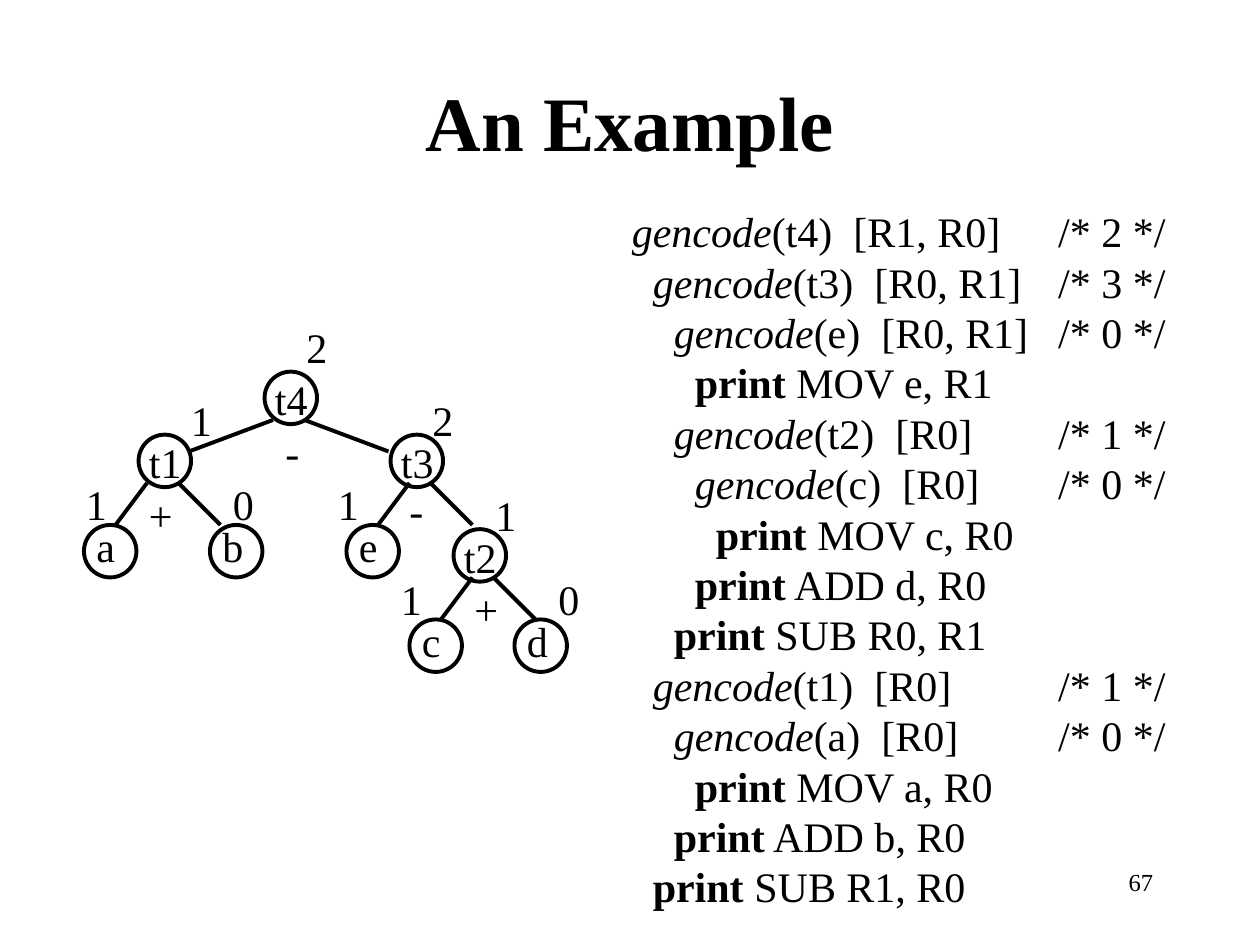
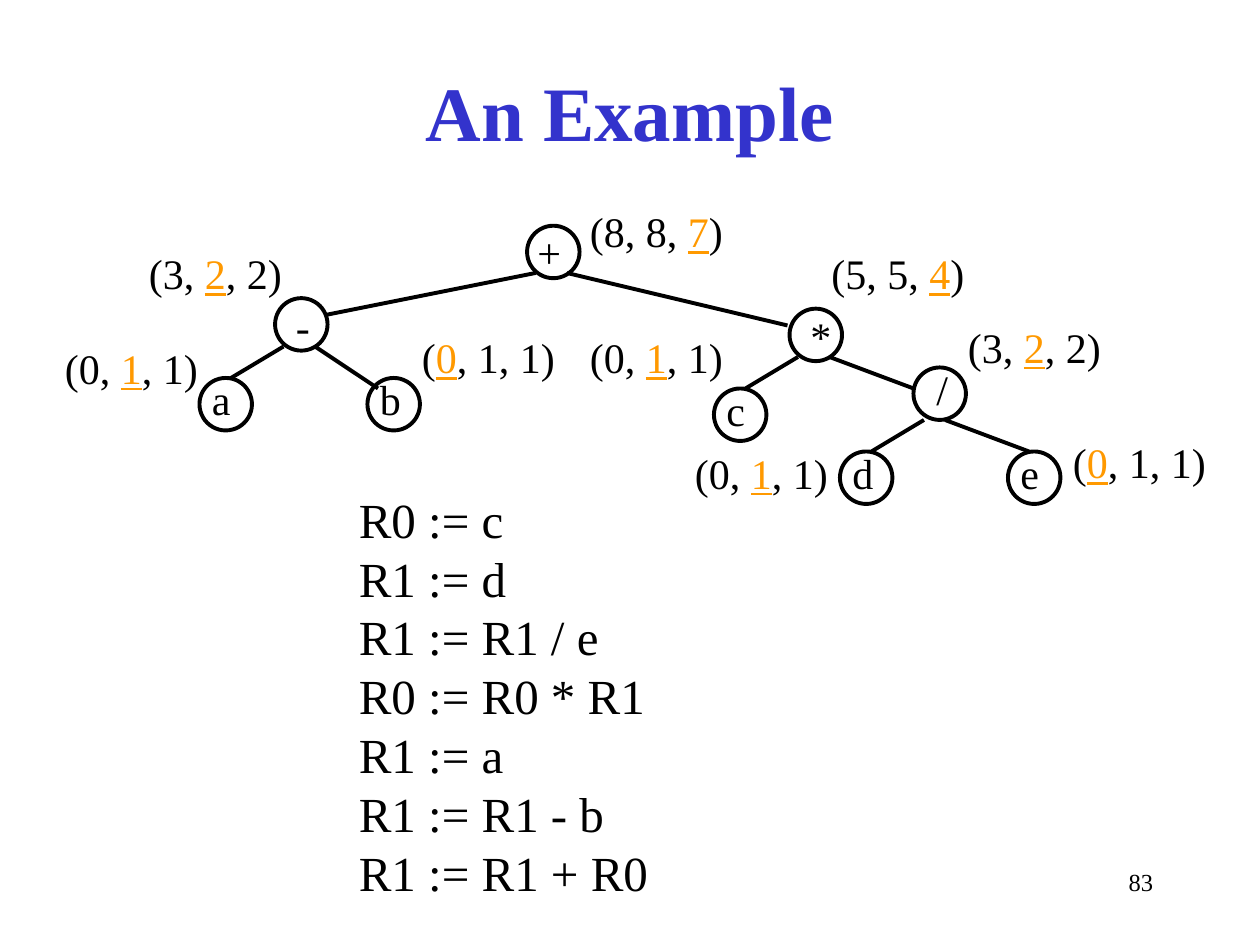
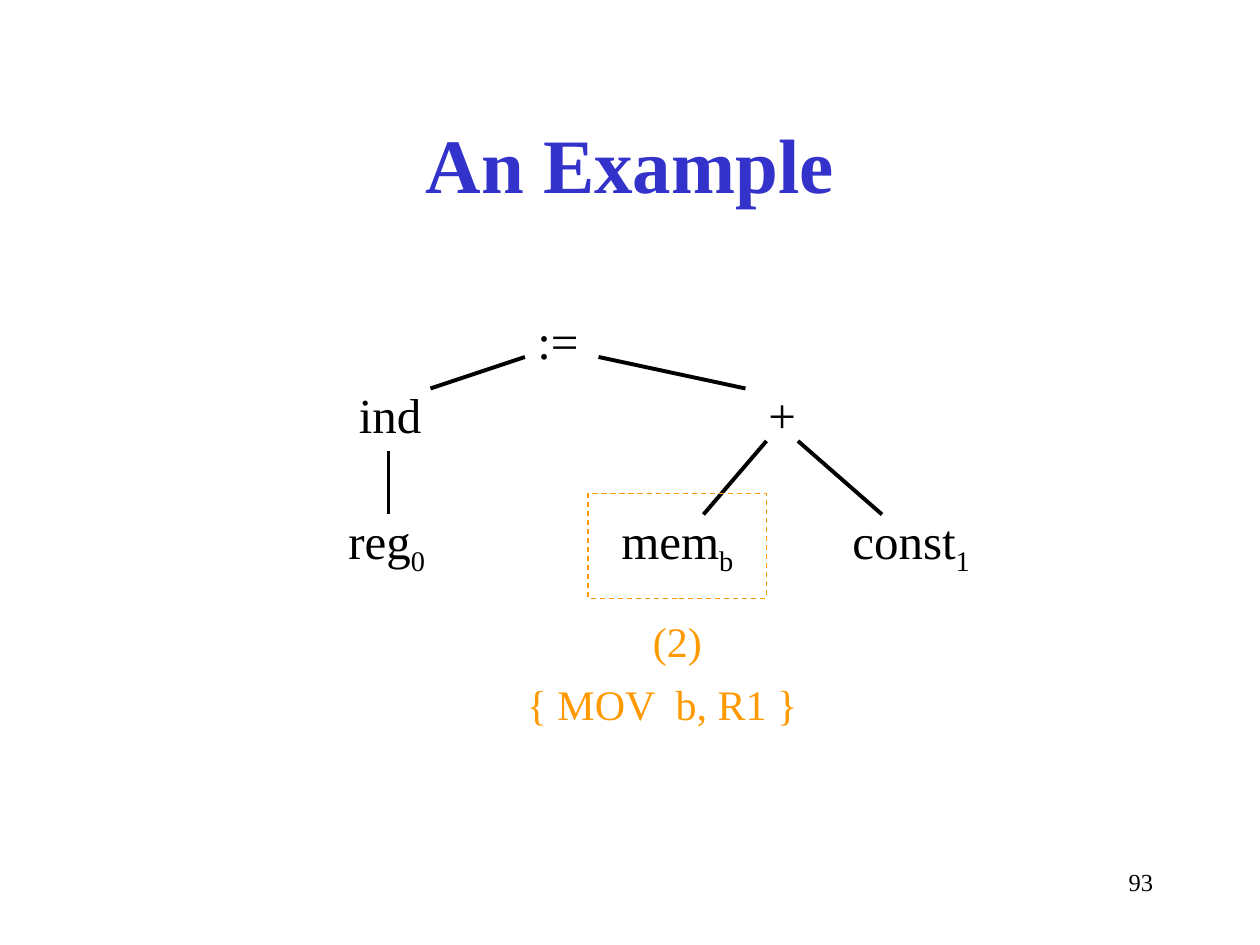
from pptx import Presentation
from pptx.dml.color import RGBColor
from pptx.enum.dml import MSO_LINE
from pptx.enum.shapes import MSO_CONNECTOR, MSO_SHAPE
from pptx.enum.text import MSO_ANCHOR, PP_ALIGN
from pptx.oxml.ns import qn
from pptx.util import Pt
from lxml.etree import SubElement

PX = 7620  # 120 px to the inch
COLORS = {"ink": "000000", "title": "3333CC", "accent": "FF9900"}
FONT = "Times New Roman"
NODE = 50
ROW = 60
CODE_LINE = 48
BOLD = {"bold": True}
ITALIC = {"italic": True}
PICKED = {"underline": True, "color": "accent"}
SUB = {"baseline": -25000}


def px(*lengths):
    return [round(n * PX) for n in lengths]


def rgb(name):
    return RGBColor.from_string(COLORS[name])


def add_runs(p, runs, size, color):
    """Fill a paragraph from a string or from (text, format) pairs."""
    if isinstance(runs, str):
        runs = [(runs, {})]
    for text, extra in runs:
        r = p.add_run()
        r.text = text
        style = {"name": FONT, "size": Pt(size), "color": color, **extra}
        r.font.color.rgb = rgb(style.pop("color"))
        baseline = style.pop("baseline", None)
        if baseline:
            r.font._element.set("baseline", str(baseline))
        for key, value in style.items():
            setattr(r.font, key, value)


def add_text(shapes, box, lines, size=24, color="ink", wrap=False,
             align=PP_ALIGN.LEFT, anchor=MSO_ANCHOR.TOP):
    """Add a text box with one paragraph for each item of lines."""
    tf = shapes.add_textbox(*px(*box)).text_frame
    tf.word_wrap = wrap
    tf.vertical_anchor = anchor
    for i, runs in enumerate(lines):
        p = tf.add_paragraph() if i else tf.paragraphs[0]
        p.alignment = align
        add_runs(p, runs, size, color)
    return tf


def add_outline(shapes, kind, box, color="ink", width=2.25):
    sp = shapes.add_shape(kind, *px(*box))
    sp.shadow.inherit = False
    sp.fill.background()
    sp.line.color.rgb = rgb(color)
    sp.line.width = Pt(width)
    return sp


def add_edges(shapes, x, y, edges):
    for x1, y1, x2, y2 in edges:
        line = shapes.add_connector(MSO_CONNECTOR.STRAIGHT,
                                    *px(x + x1, y + y1, x + x2, y + y2))
        line.line.color.rgb = rgb("ink")
        line.line.width = Pt(2.25)
        SubElement(line._element.spPr, qn("a:effectLst"))


def add_nodes(shapes, x, y, nodes):
    """Draw circles; a node without a label offset is a leaf."""
    for label, nx, ny, *offset in nodes:
        dx, dy = offset or (0, -10)
        width = 56 if offset else 70
        add_text(shapes, (x + nx + dx, y + ny + dy, width, ROW), [label], wrap=not offset)
        add_outline(shapes, MSO_SHAPE.OVAL, (x + nx, y + ny, NODE, NODE))


def add_slide(prs, number, title_top, title_color):
    s = prs.slides.add_slide(prs.slide_layouts[6])
    add_text(s.shapes, (860, 820, 250, ROW), [str(number)], 14, wrap=True,
             align=PP_ALIGN.RIGHT)
    add_text(s.shapes, (90, title_top, 1020, 150), [[("An Example", BOLD)]], 44,
             title_color, True, PP_ALIGN.CENTER, MSO_ANCHOR.MIDDLE)
    return s


def register_tree(s, x, y):
    shapes = s.shapes.add_group_shape().shapes
    add_nodes(shapes, x, y, [
        ("t4", 182, 54, -2, -4), ("t1", 62, 114, -2, -4), ("t3", 302, 114, -2, -4),
        ("t2", 362, 204, -2, -4), ("a", 10, 200), ("b", 130, 200), ("e", 260, 200),
        ("c", 320, 290), ("d", 420, 290)])
    add_edges(shapes, x, y, [
        (190, 100, 110, 130), (220, 100, 300, 130), (70, 160, 40, 200),
        (100, 160, 140, 200), (320, 160, 290, 200), (340, 160, 380, 200),
        (380, 250, 350, 290), (400, 250, 440, 290)])
    needs = [("2", 210, 0), ("1", 100, 70), ("2", 330, 70), ("1", 0, 150), ("0", 140, 150),
             ("1", 240, 150), ("1", 390, 160), ("1", 300, 240), ("0", 450, 240)]
    for need, nx, ny in needs:
        add_text(shapes, (x + nx, y + ny, 44, ROW), [need])
    for op, ox, oy, width in [("-", 190, 100, 37), ("+", 60, 160, 47),
                              ("-", 308, 156, 37), ("+", 370, 250, 47)]:
        add_text(s.shapes, (x + ox, y + oy, width, ROW), [op])


def call_trace(s, x, y):
    """List calls and printed code by call depth, with register needs in a column."""
    trace = [
        (0, "gencode", "(t4)  [R1, R0]", "/* 2 */"),
        (1, "gencode", "(t3)  [R0, R1]", "/* 3 */"),
        (2, "gencode", "(e)  [R0, R1]", "/* 0 */"),
        (3, "print", " MOV e, R1", ""),
        (2, "gencode", "(t2)  [R0]", "/* 1 */"),
        (3, "gencode", "(c)  [R0]", "/* 0 */"),
        (4, "print", " MOV c, R0", ""),
        (3, "print", " ADD d, R0", ""),
        (2, "print", " SUB R0, R1", ""),
        (1, "gencode", "(t1)  [R0]", "/* 1 */"),
        (2, "gencode", "(a)  [R0]", "/* 0 */"),
        (3, "print", " MOV a, R0", ""),
        (2, "print", " ADD b, R0", ""),
        (1, "print", " SUB R1, R0", ""),
    ]
    lines = [[(word, BOLD if word == "print" else ITALIC), (rest, {})]
             for _, word, rest, _ in trace]
    tf = add_text(s.shapes, (x, y, 538, 683), lines, wrap=True)
    for i, (p, (depth, _, _, need)) in enumerate(zip(tf.paragraphs, trace)):
        pPr = p._p.get_or_add_pPr()
        pPr.set("marL", "0")
        pPr.set("indent", str(depth * 20 * PX))
        if need:
            add_text(s.shapes, (x + 406, y + i * CODE_LINE, 126, ROW), [need])


def cost_runs(costs, picked):
    """Write a cost vector with the picked entry marked."""
    before = "".join(f"{c}, " for c in costs[:picked])
    after = "".join(f", {c}" for c in costs[picked + 1:])
    return [("(" + before, {}), (str(costs[picked]), PICKED), (after + ")", {})]


def cost_tree(s, x, y):
    shapes = s.shapes.add_group_shape().shapes
    add_nodes(shapes, x, y, [
        ("+", 452, 25, -2, -5), ("-", 212, 94, 8, -4), ("*", 702, 104, 8, -4),
        ("/", 820, 160, 10, -10), ("a", 140, 170), ("b", 300, 170), ("c", 630, 180),
        ("d", 750, 240), ("e", 910, 240)])
    add_edges(shapes, x, y, [
        (460, 70, 260, 110), (490, 70, 700, 120), (220, 140, 170, 170),
        (250, 140, 310, 180), (710, 150, 660, 180), (740, 150, 820, 180),
        (830, 210, 780, 240), (850, 210, 930, 240)])
    vectors = [
        ((8, 8, 7), 2, 500, 0), ((3, 2, 2), 1, 80, 40), ((5, 5, 4), 2, 730, 40),
        ((3, 2, 2), 1, 860, 110), ((0, 1, 1), 1, 0, 130), ((0, 1, 1), 0, 340, 120),
        ((0, 1, 1), 1, 500, 120), ((0, 1, 1), 1, 600, 230), ((0, 1, 1), 0, 960, 220)]
    for costs, picked, cx, cy in vectors:
        add_text(shapes, (x + cx, y + cy, 151, ROW), [cost_runs(costs, picked)])


def generated_code(s, x, y):
    add_text(s.shapes, (x, y, 299, 404),
             ["R0 := c", "R1 := d", "R1 := R1 / e", "R0 := R0 * R1", "R1 := a",
              "R1 := R1 - b", "R1 := R1 + R0"], 28)


def rewrite_tree(s, x, y):
    """Draw the assignment tree with the matched leaf and its rule."""
    labels = [
        (":=", 180, 0, 64), ("ind", 10, 70, 84), ("+", 400, 70, 50),
        ([("mem", {}), ("b", SUB)], 260, 190, 133),
        ([("const", {}), ("1", SUB)], 480, 190, 138),
        ([("reg", {}), ("0", SUB)], 0, 190, 100)]
    for runs, lx, ly, width in labels:
        add_text(s.shapes, (x + lx, y + ly, width, 68), [runs], 28)
    add_edges(s.shapes, x, y, [
        (180, 50, 90, 80), (250, 50, 390, 80), (410, 130, 350, 200),
        (440, 130, 520, 200), (50, 140, 50, 200)])
    match = add_outline(s.shapes, MSO_SHAPE.RECTANGLE, (x + 240, y + 180, 170, 100),
                        "accent", 0.75)
    match.line.dash_style = MSO_LINE.DASH
    for rule, rx, ry, width in [("(2)", 290, 290, 71), ("{ MOV  b, R1 }", 170, 350, 283)]:
        add_text(s.shapes, (x + rx, y + ry, width, ROW), [rule], color="accent")


def main():
    prs = Presentation()
    prs.slide_width, prs.slide_height = px(1200, 900)

    s = add_slide(prs, 67, 40, "ink")
    register_tree(s, 70, 300)
    call_trace(s, 590, 190)

    s = add_slide(prs, 83, 30, "title")
    cost_tree(s, 50, 190)
    generated_code(s, 330, 460)

    s = add_slide(prs, 93, 80, "title")
    rewrite_tree(s, 320, 290)

    prs.save("out.pptx")


if __name__ == "__main__":
    main()
